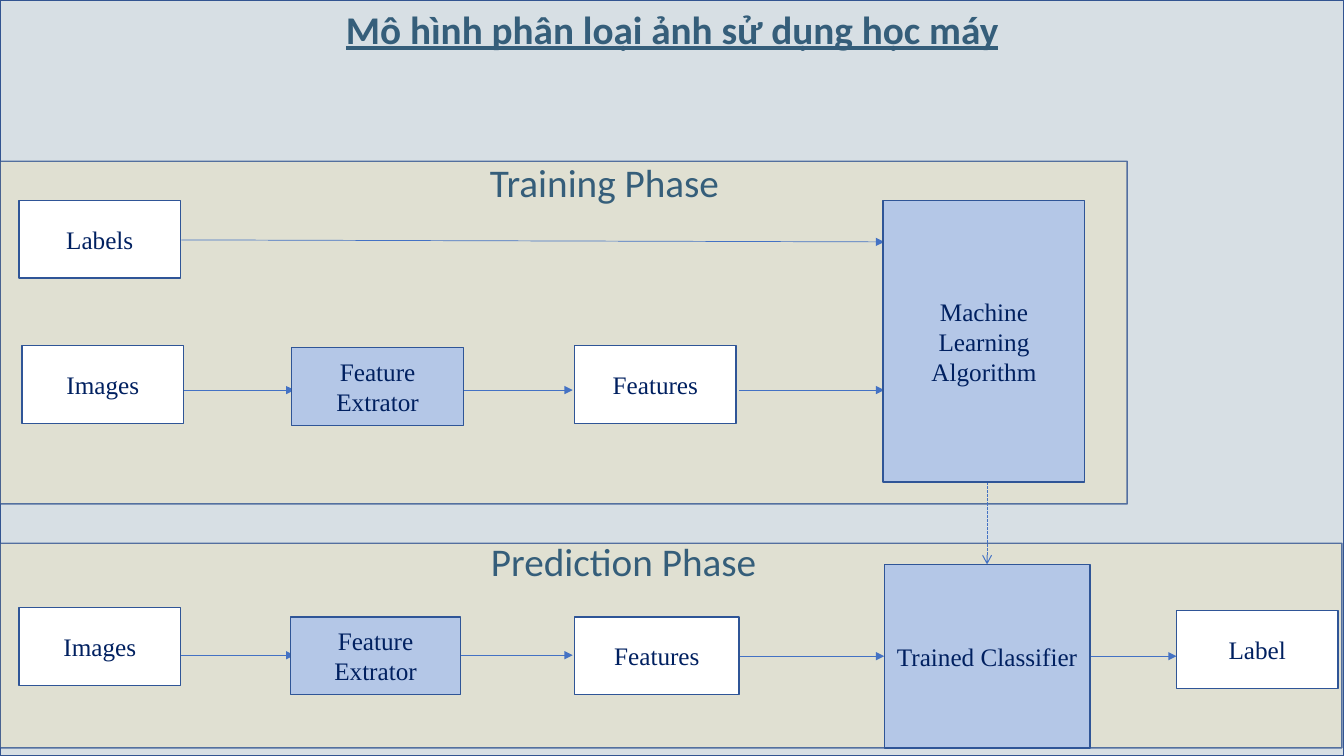
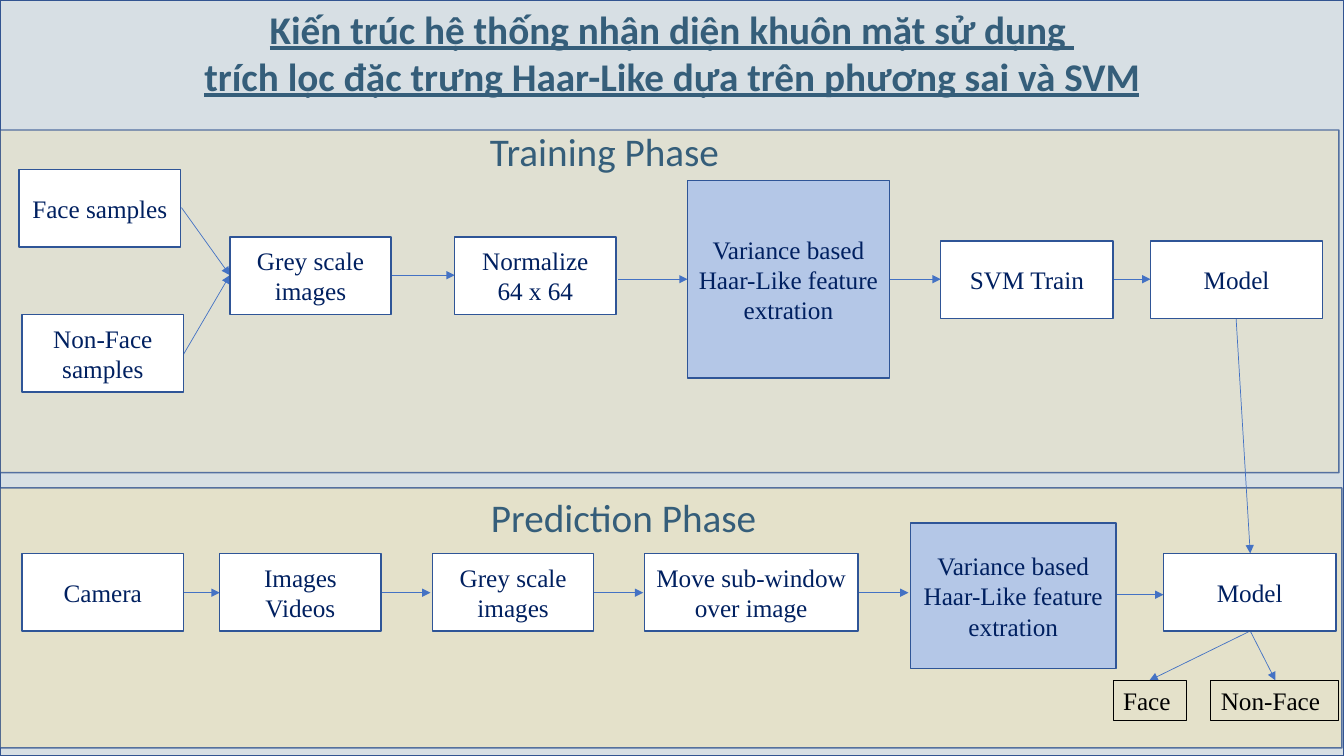
import pptx
import pptx.util
import pptx.dml.color
import pptx.enum.dml
import pptx.enum.shapes
import pptx.enum.text
import pptx.oxml.ns
import lxml.etree

Inches = pptx.util.Inches
Pt = pptx.util.Pt
RGBColor = pptx.dml.color.RGBColor
Align = pptx.enum.text.PP_ALIGN
Anchor = pptx.enum.text.MSO_ANCHOR
qn = pptx.oxml.ns.qn

PALE = RGBColor(0xD7, 0xDF, 0xE4)
SAND = RGBColor(0xFF, 0xE6, 0x99)
EDGE = RGBColor(0x32, 0x54, 0x91)
TEAL = RGBColor(0x35, 0x5E, 0x7A)
WHITE = RGBColor(0xFF, 0xFF, 0xFF)
BLUE = RGBColor(0xB4, 0xC7, 0xE7)
RIM = RGBColor(0x2F, 0x55, 0x97)
NAVY = RGBColor(0x00, 0x20, 0x60)
ARROW = RGBColor(0x44, 0x72, 0xC4)
BLACK = RGBColor(0x00, 0x00, 0x00)

WIDE, HIGH = 13.33, 7.5
LOW = 0.77
MID = 1.6
HEAD = "Calibri"
BODY = "Times New Roman"


def write(frame, text, font, size, color, align=Align.CENTER, bold=False):
    frame.text = text
    frame.word_wrap = True
    for para in frame.paragraphs:
        para.alignment = align
        for run in para.runs:
            run.font.name = font
            run.font.size = Pt(size)
            run.font.color.rgb = color
            run.font.bold = bold
            run.font.underline = bold


def block(slide, area, fill, edge, width=1):
    shape = slide.shapes.add_shape(
        pptx.enum.shapes.MSO_SHAPE.RECTANGLE, *[Inches(v) for v in area])
    shape.shadow.inherit = False
    if fill is None:
        shape.fill.background()
    else:
        shape.fill.solid()
        shape.fill.fore_color.rgb = fill
    shape.line.color.rgb = edge
    shape.line.width = Pt(width)
    return shape


pages = [
    {
        "title": "Mô hình phân loại ảnh sử dụng học máy",
        "bands": [(5.39, 13.31, 2.03, 24), (1.6, 11.18, 3.4, 24)],
        "heads": [1.52, 5.28],
        "lines": [
            (1.8, 2.38, 8.77, 2.4),
            (1.8, 3.87, 2.92, 3.87), (4.56, 3.87, 5.68, 3.87),
            (7.33, 3.87, 8.77, 3.87),
            (1.8, 6.5, 2.92, 6.5), (4.56, 6.5, 5.68, 6.5),
            (7.33, 6.51, 8.77, 6.51), (10.81, 6.51, 11.67, 6.51),
        ],
        "dashes": [(9.79, 4.78, 9.79, 5.6)],
        "boxes": [
            ("Labels", 0.19, 1.99, MID, LOW, WHITE),
            ("Images", 0.22, 3.43, MID, LOW, WHITE),
            ("Feature Extrator", 2.89, 3.45, 1.71, LOW, BLUE),
            ("Features", 5.7, 3.43, MID, LOW, WHITE),
            ("Machine Learning Algorithm", 8.76, 1.99, 2, 2.79, BLUE),
            ("Images", 0.19, 6.03, MID, LOW, WHITE),
            ("Feature Extrator", 2.88, 6.12, 1.69, LOW, BLUE),
            ("Features", 5.7, 6.12, 1.63, LOW, WHITE),
            ("Trained Classifier", 8.77, 5.6, 2.04, 1.82, BLUE),
            ("Label", 11.67, 6.06, MID, LOW, WHITE),
        ],
        "tags": [],
    },
    {
        "title": "Kiến trúc hệ thống nhận diện khuôn mặt sử dụng \v"
                 "trích lọc đặc trưng Haar-Like dựa trên phương sai và SVM",
        "bands": [(4.84, 13.31, 2.58, 34), (1.29, 13.28, 3.4, 24)],
        "heads": [1.21, 4.84],
        "lines": [
            (1.8, 2.06, 2.28, 2.73), (1.8, 3.55, 2.28, 2.73),
            (3.88, 2.73, 4.51, 2.73), (6.13, 2.77, 6.82, 2.77),
            (8.82, 2.77, 9.33, 2.77), (11.04, 2.77, 11.41, 2.77),
            (1.81, 5.88, 2.18, 5.88), (3.78, 5.88, 4.27, 5.88),
            (5.88, 5.88, 6.38, 5.88), (8.51, 5.88, 9.01, 5.88),
            (11.07, 5.9, 11.54, 5.9), (12.26, 3.16, 12.4, 5.49),
            (12.4, 6.26, 11.4, 6.75), (12.4, 6.26, 12.65, 6.75),
        ],
        "dashes": [],
        "boxes": [
            ("Face samples", 0.19, 1.68, MID, LOW, WHITE),
            ("Non-Face samples", 0.22, 3.12, MID, LOW, WHITE),
            ("Grey scale images", 2.28, 2.35, MID, LOW, WHITE),
            ("Normalize\v64 x 64", 4.51, 2.35, MID, LOW, WHITE),
            ("Variance based Haar-Like feature extration",
             6.82, 1.79, 2, 1.96, BLUE),
            ("SVM Train", 9.33, 2.39, 1.71, LOW, WHITE),
            ("Model", 11.41, 2.39, 1.71, LOW, WHITE),
            ("Camera", 0.22, 5.49, MID, LOW, WHITE),
            ("Images Videos", 2.18, 5.49, MID, LOW, WHITE),
            ("Grey scale images", 4.29, 5.49, MID, LOW, WHITE),
            ("Move sub-window over image", 6.39, 5.49, 2.12, LOW, WHITE),
            ("Variance based Haar-Like feature extration",
             9.03, 5.19, 2.04, 1.44, BLUE),
            ("Model", 11.54, 5.49, 1.71, LOW, WHITE),
        ],
        "tags": [("Face", 11.04, 0.73), ("Non-Face", 12.01, 1.27)],
    },
]
phases = [("Training Phase", 4.27, 3.45), ("Prediction Phase", 4.48, 3.41)]

deck = pptx.Presentation()
deck.slide_width = Inches(WIDE)
deck.slide_height = Inches(HIGH)
back = deck.slide_master.background.fill
back.solid()
back.fore_color.rgb = PALE

for page in pages:
    slide = deck.slides.add_slide(deck.slide_layouts[5])
    title = slide.shapes.title
    title.left, title.top = Inches(1.15), Inches(0)
    title.width, title.height = Inches(11.03), Inches(1.04)
    write(title.text_frame, page["title"], HEAD, 28, TEAL, bold=True)
    title.text_frame.vertical_anchor = Anchor.TOP
    title.text_frame.auto_size = pptx.enum.text.MSO_AUTO_SIZE.NONE

    block(slide, (0, 0, WIDE, HIGH), None, EDGE)
    for top, width, height, alpha in page["bands"]:
        band = block(slide, (0, top, width, height), SAND, EDGE)
        tints = band.element.spPr.findall(".//" + qn("a:srgbClr"))
        for tint, part in zip(tints, (alpha, 80)):
            lxml.etree.SubElement(tint, qn("a:alpha"), val=str(part * 1000))

    for (name, left, width), top in zip(phases, page["heads"]):
        label = slide.shapes.add_textbox(
            Inches(left), Inches(top), Inches(width), Inches(0.57))
        write(label.text_frame, name, HEAD, 28, TEAL)

    for ends in page["lines"] + page["dashes"]:
        dashed = ends in page["dashes"]
        line = slide.shapes.add_connector(
            pptx.enum.shapes.MSO_CONNECTOR.STRAIGHT, *[Inches(v) for v in ends])
        line.line.color.rgb = ARROW
        line.line.width = Pt(0.75 if dashed else 0.5)
        if dashed:
            line.line.dash_style = pptx.enum.dml.MSO_LINE.SQUARE_DOT
        props = line.element.spPr
        lxml.etree.SubElement(props.find(qn("a:ln")), qn("a:tailEnd"),
                              type="arrow" if dashed else "triangle")
        lxml.etree.SubElement(props, qn("a:effectLst"))

    for text, left, top, width, height, fill in page["boxes"]:
        box = block(slide, (left, top, width, height), fill, RIM)
        write(box.text_frame, text, BODY, 18, NAVY)
        box.text_frame.vertical_anchor = Anchor.MIDDLE

    for text, left, width in page["tags"]:
        tag = block(slide, (left, 6.75, width, 0.4), None, BLACK, 0.75)
        write(tag.text_frame, text, BODY, 18, BLACK, Align.LEFT)
        tag.text_frame.vertical_anchor = Anchor.TOP

deck.save("out.pptx")
